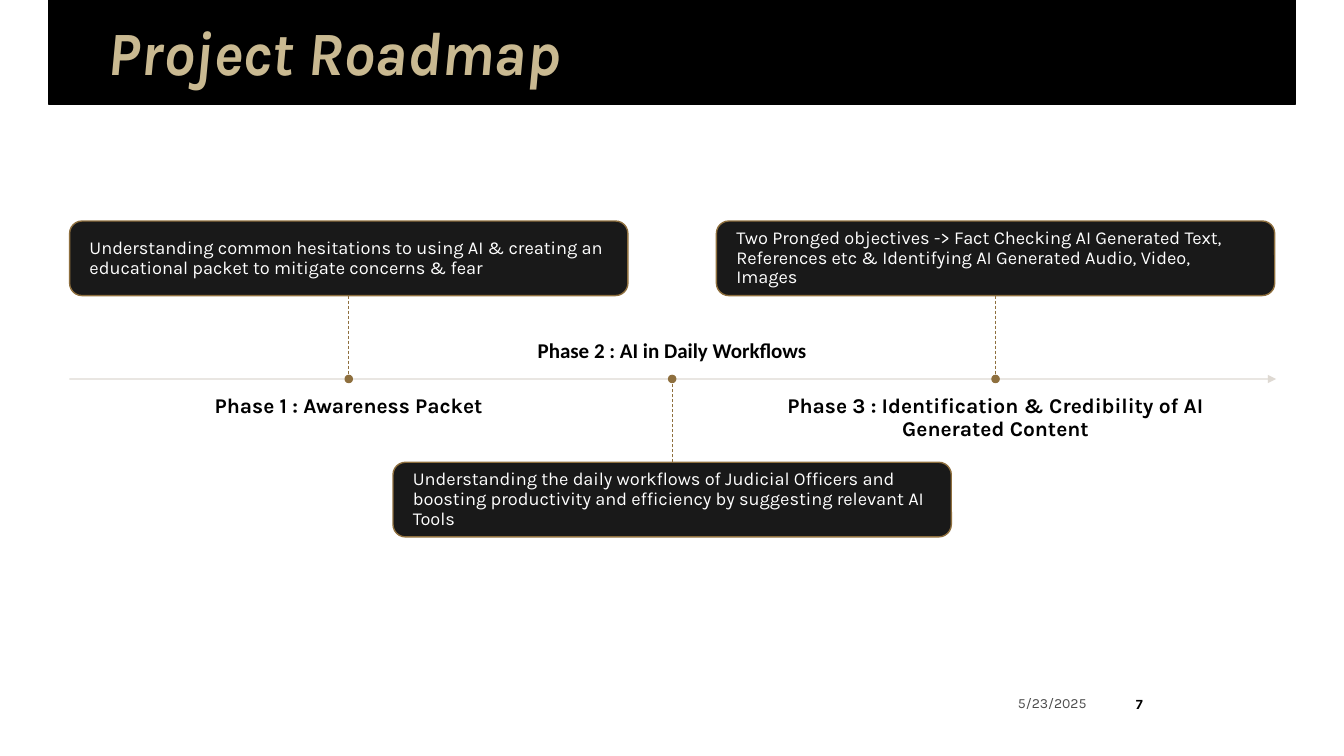
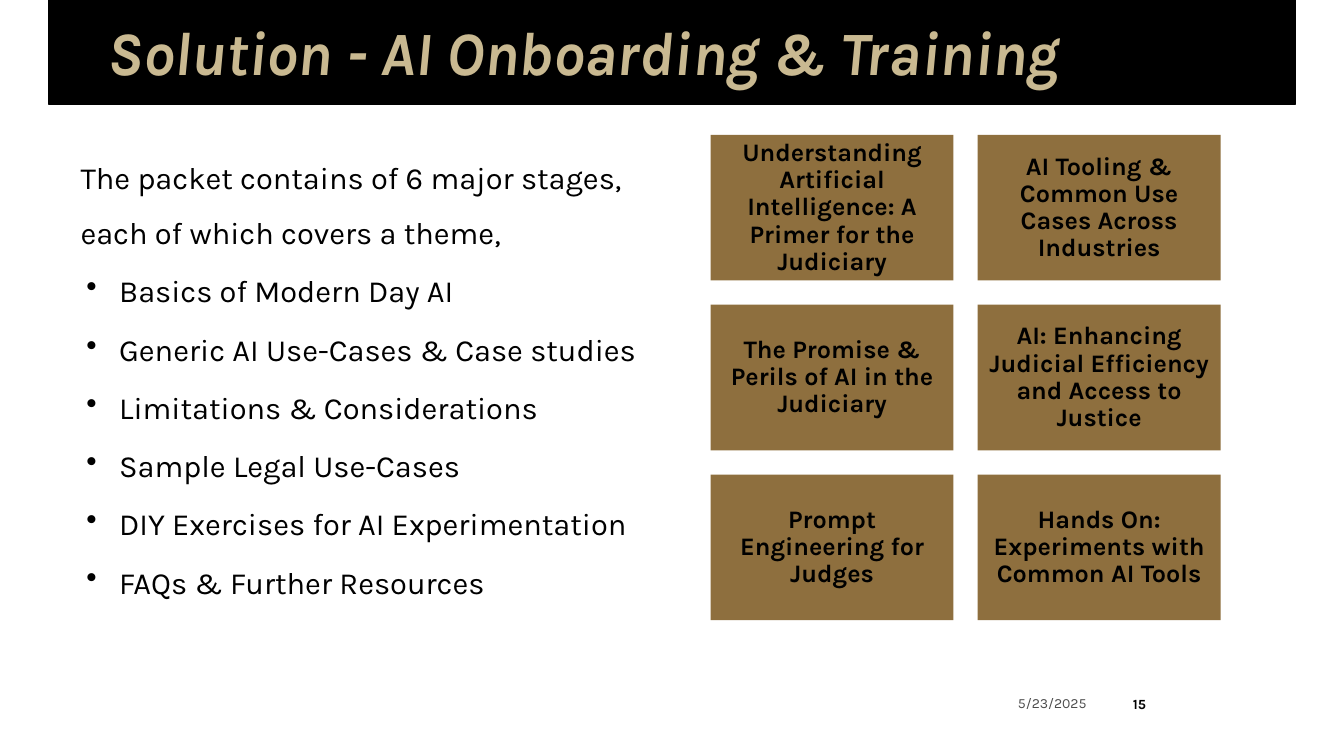
from pptx import Presentation
from pptx.dml.color import RGBColor
from pptx.enum.dml import MSO_LINE
from pptx.enum.shapes import MSO_CONNECTOR, MSO_SHAPE as SHAPE
from pptx.enum.text import MSO_ANCHOR as ANCHOR, MSO_AUTO_SIZE, PP_ALIGN as ALIGN
from pptx.oxml.ns import qn
from pptx.util import Cm, Pt
from lxml.etree import SubElement

BLACK = RGBColor(0x00, 0x00, 0x00)
WHITE = RGBColor(0xFF, 0xFF, 0xFF)
SAND = RGBColor(0xC9, 0xB9, 0x91)
BRONZE = RGBColor(0x8E, 0x6F, 0x3E)
STONE = RGBColor(0xDB, 0xD5, 0xCE)
FONT = "Karla"


def write_text(para, text, size=18, color=BLACK, font=FONT, bold=False,
               italic=False, align=ALIGN.LEFT, spacing=0.9, after=0):
    para.alignment = align
    para.line_spacing = spacing
    para.space_before = Pt(0)
    para.space_after = Pt(after)
    span = para.add_run()
    span.text = text
    span.font.name = font
    span.font.size = Pt(size)
    span.font.bold = bold
    span.font.italic = italic
    span.font.color.rgb = color


def set_frame(frame, anchor=ANCHOR.TOP, inset_x=0.0, inset_y=0.0):
    frame.word_wrap = True
    frame.auto_size = MSO_AUTO_SIZE.NONE
    frame.vertical_anchor = anchor
    frame.margin_left = frame.margin_right = Cm(inset_x)
    frame.margin_top = frame.margin_bottom = Cm(inset_y)


def set_opacity(shape, percent):
    color = next(shape.element.iter(qn("a:srgbClr")))
    SubElement(color, qn("a:alpha")).set("val", str(percent * 1000))


def add_bullet(paragraph_element, indent, hanging):
    properties = paragraph_element.get_or_add_pPr()
    properties.set("marL", str(Cm(indent)))
    properties.set("indent", str(-Cm(hanging)))
    SubElement(properties, qn("a:buChar")).set("char", "•")


class Deck:
    def __init__(self):
        self.deck = Presentation()
        self.deck.slide_width = Cm(33.87)
        self.deck.slide_height = Cm(19.05)
        self.page = None

    def add_page(self, title, number):
        self.page = self.deck.slides.add_slide(self.deck.slide_layouts[5])
        heading = self.page.shapes.title
        heading.left, heading.top = Cm(2.72), Cm(0.56)
        heading.width, heading.height = Cm(24.6), Cm(1.7)
        set_frame(heading.text_frame)
        write_text(heading.text_frame.paragraphs[0], title, size=44,
                   color=SAND, bold=True, italic=True)
        band = self.shape(SHAPE.RECTANGLE, 1.24, 0, 31.4, 2.64, BLACK, BLACK)
        heading.element.addprevious(band.element)
        date = self.text("5/23/2025", 24.79, 17.27, 2.84, 0.89,
                         anchor=ANCHOR.MIDDLE, inset_x=0.25, size=10,
                         align=ALIGN.RIGHT, spacing=1)
        set_opacity(date, 70)
        self.text(str(number), 28.04, 17.22, 1.35, 1.02, anchor=ANCHOR.MIDDLE,
                  size=10, bold=True, align=ALIGN.CENTER, spacing=1)

    def shape(self, kind, left, top, width, height, fill, line=None):
        shape = self.page.shapes.add_shape(
            kind, Cm(left), Cm(top), Cm(width), Cm(height))
        shape.shadow.inherit = False
        shape.fill.solid()
        shape.fill.fore_color.rgb = fill
        if line is None:
            shape.line.fill.background()
        else:
            shape.line.color.rgb = line
            shape.line.width = Pt(1)
        return shape

    def text(self, text, left, top, width, height, anchor=ANCHOR.TOP,
             inset_x=0.0, **style):
        box = self.page.shapes.add_textbox(
            Cm(left), Cm(top), Cm(width), Cm(height))
        set_frame(box.text_frame, anchor, inset_x)
        write_text(box.text_frame.paragraphs[0], text, **style)
        return box

    def line(self, x1, y1, x2, y2, color, weight):
        line = self.page.shapes.add_connector(
            MSO_CONNECTOR.STRAIGHT, Cm(x1), Cm(y1), Cm(x2), Cm(y2))
        line.line.color.rgb = color
        line.line.width = Pt(weight)
        SubElement(line.element.spPr, qn("a:effectLst"))
        return line

    def arrow(self, x1, x2, y):
        arrow = self.line(x1, y, x2, y, STONE, 1)
        set_opacity(arrow, 90)
        outline = arrow.element.spPr.find(qn("a:ln"))
        SubElement(outline, qn("a:tailEnd")).set("type", "triangle")

    def phase(self, center, axis, above, label, details, font=FONT):
        width, height, stem, dot = 14.07, 1.88, 2.1, 0.18
        label_width, label_height, label_gap = 12.4, 1.24, 0.41
        if above:
            box_top, label_top = axis - stem - height, axis + label_gap
            side, label_anchor = 2, ANCHOR.TOP
        else:
            box_top, label_top = axis + stem, axis - label_gap - label_height
            side, label_anchor = 0, ANCHOR.BOTTOM
        self.text(label, center - label_width / 2, label_top, label_width,
                  label_height, anchor=label_anchor, size=15, font=font,
                  bold=True, align=ALIGN.CENTER)
        box = self.shape(SHAPE.ROUNDED_RECTANGLE, center - width / 2, box_top,
                         width, height, BLACK, BRONZE)
        set_opacity(box, 90)
        set_frame(box.text_frame, ANCHOR.MIDDLE, 0.41)
        write_text(box.text_frame.paragraphs[0], details, size=13, color=WHITE)
        link = self.line(center, axis, center, axis, BRONZE, 0.5)
        link.line.dash_style = MSO_LINE.DASH
        link.begin_connect(box, side)
        self.shape(SHAPE.OVAL, center - dot / 2, axis - dot / 2, dot, dot,
                   BRONZE, BRONZE)

    def bullets(self, intro, items, left, top, width, height):
        style = {"size": 22, "spacing": 1.5, "after": 2}
        box = self.text(intro, left, top, width, height, inset_x=0.25, **style)
        box.text_frame.margin_top = Cm(0.13)
        for item in items:
            write_text(box.text_frame.add_paragraph(), item, **style)
        for element in list(box.element.iter(qn("a:p")))[1:]:
            add_bullet(element, 0.79, 0.64)

    def cards(self, labels, left, top, columns=2):
        width, height, gap = 6.12, 3.67, 0.61
        for index, label in enumerate(labels):
            row, column = divmod(index, columns)
            card = self.shape(SHAPE.RECTANGLE, left + column * (width + gap),
                              top + row * (height + gap), width, height, BRONZE)
            set_frame(card.text_frame, ANCHOR.MIDDLE, 0.18, 0.18)
            write_text(card.text_frame.paragraphs[0], label, bold=True,
                       align=ALIGN.CENTER)


PHASES = [
    ("Phase 1 : Awareness Packet",
     "Understanding common hesitations to using AI & creating an educational "
     "packet to mitigate concerns & fear", FONT),
    ("Phase 2 : AI in Daily Workflows",
     "Understanding the daily workflows of Judicial Officers and boosting "
     "productivity and efficiency by suggesting relevant AI Tools", "Calibri"),
    ("Phase 3 : Identification & Credibility of AI Generated Content",
     "Two Pronged objectives -> Fact Checking AI Generated Text, References "
     "etc & Identifying AI Generated Audio, Video, Images", FONT),
]
STAGES = [
    " Basics of Modern Day AI",
    " Generic AI Use-Cases & Case studies",
    " Limitations & Considerations",
    " Sample Legal Use-Cases",
    " DIY Exercises for AI Experimentation",
    " FAQs & Further Resources",
]
MODULES = [
    "Understanding Artificial Intelligence: A Primer for the Judiciary",
    "AI Tooling & Common Use Cases Across Industries",
    "The Promise & Perils of AI in the Judiciary",
    "AI: Enhancing Judicial Efficiency and Access to Justice",
    "Prompt Engineering for Judges",
    "Hands On: Experiments with Common AI Tools",
]


def main():
    show = Deck()

    show.add_page("Project Roadmap", 7)
    axis = 9.55
    show.arrow(1.75, 32.16, axis)
    for index, (label, details, font) in enumerate(PHASES):
        show.phase(8.79 + index * 8.15, axis, index % 2 == 0, label, details,
                   font)

    show.add_page("Solution - AI Onboarding & Training", 15)
    show.bullets("The packet contains of 6 major stages, each of which covers "
                 "a theme,", STAGES, 1.78, 3.4, 14.5, 11.79)
    show.cards(MODULES, 17.91, 3.4)

    show.deck.save("out.pptx")


if __name__ == "__main__":
    main()
